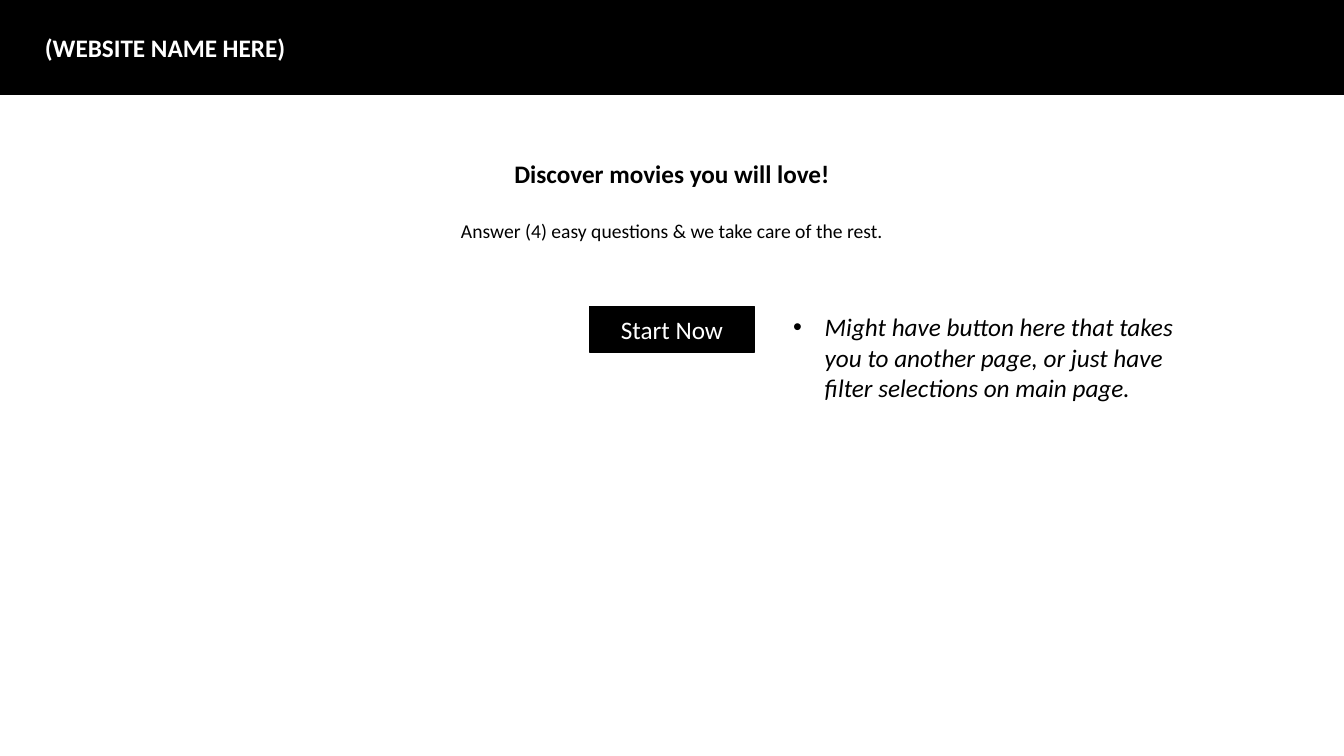
from dataclasses import dataclass

from lxml import etree
from pptx import Presentation
from pptx.dml.color import RGBColor
from pptx.enum.shapes import MSO_SHAPE
from pptx.enum.text import MSO_ANCHOR, PP_ALIGN
from pptx.oxml.ns import qn
from pptx.util import Pt

RECT = MSO_SHAPE.RECTANGLE
MIDDLE = MSO_ANCHOR.MIDDLE
LEFT, CENTER = PP_ALIGN.LEFT, PP_ALIGN.CENTER


@dataclass(frozen=True)
class Theme:
    font: str = "Calibri"
    dark: RGBColor = RGBColor(0, 0, 0)
    light: RGBColor = RGBColor(255, 255, 255)
    size: int = 18
    small: int = 14


THEME = Theme()
SLIDE_W, SLIDE_H = 960, 540


def write(p, text, color=THEME.dark, size=THEME.size, align=LEFT,
          bold=False, italic=False):
    """Fill one paragraph and format its run."""
    p.text = text
    p.alignment = align
    font = p.runs[0].font
    font.name, font.size = THEME.font, Pt(size)
    font.bold, font.italic = bold, italic
    font.color.rgb = color


def add_block(s, x, y, w, h):
    """Dark rectangle with a thin outline."""
    sp = s.shapes.add_shape(RECT, Pt(x), Pt(y), Pt(w), Pt(h))
    sp.shadow.inherit = False
    sp.fill.solid()
    sp.fill.fore_color.rgb = THEME.dark
    sp.line.color.rgb = THEME.dark
    sp.line.width = Pt(1)
    return sp


def add_text(s, x, y, w, h):
    """Wrapping text box; returns its text frame."""
    tf = s.shapes.add_textbox(Pt(x), Pt(y), Pt(w), Pt(h)).text_frame
    tf.word_wrap = True
    return tf


def add_bullet(p, indent):
    """Bullet with a hanging indent."""
    pPr = p._p.get_or_add_pPr()
    pPr.set("marL", str(Pt(indent)))
    pPr.set("indent", str(-Pt(indent)))
    etree.SubElement(pPr, qn("a:buFont")).set("typeface", "Arial")
    etree.SubElement(pPr, qn("a:buChar")).set("char", "•")


def main():
    prs = Presentation()
    prs.slide_width, prs.slide_height = Pt(SLIDE_W), Pt(SLIDE_H)
    s = prs.slides.add_slide(prs.slide_layouts[6])

    # Header bar with site name
    add_block(s, 0, 0, SLIDE_W, 67.5)
    tf = add_text(s, 25, 19.5, 302, 29)
    write(tf.paragraphs[0], "(WEBSITE NAME HERE)", THEME.light, bold=True)

    # Centred headline and tagline
    hero_w = 447
    tf = add_text(s, (SLIDE_W - hero_w) / 2, 109.5, hero_w, 68)
    write(tf.paragraphs[0], "Discover movies you will love!",
          align=CENTER, bold=True)
    p = tf.add_paragraph()
    write(p, "Answer (4) easy questions & we take care of the rest.",
          size=THEME.small, align=CENTER)
    p.space_before = Pt(22)

    # Start button
    action_y, button_w = 219, 117.5
    sp = add_block(s, (SLIDE_W - button_w) / 2, action_y, button_w, 32.5)
    tf = sp.text_frame
    tf.vertical_anchor = MIDDLE
    write(tf.paragraphs[0], "Start Now", THEME.light, align=CENTER)

    # Design note beside the button
    tf = add_text(s, 559.5, action_y, 289, 73)
    p = tf.paragraphs[0]
    write(p, "Might have button here that takes you to another page, "
             "or just have filter selections on main page.", italic=True)
    add_bullet(p, 22.5)

    prs.save("out.pptx")


main()
